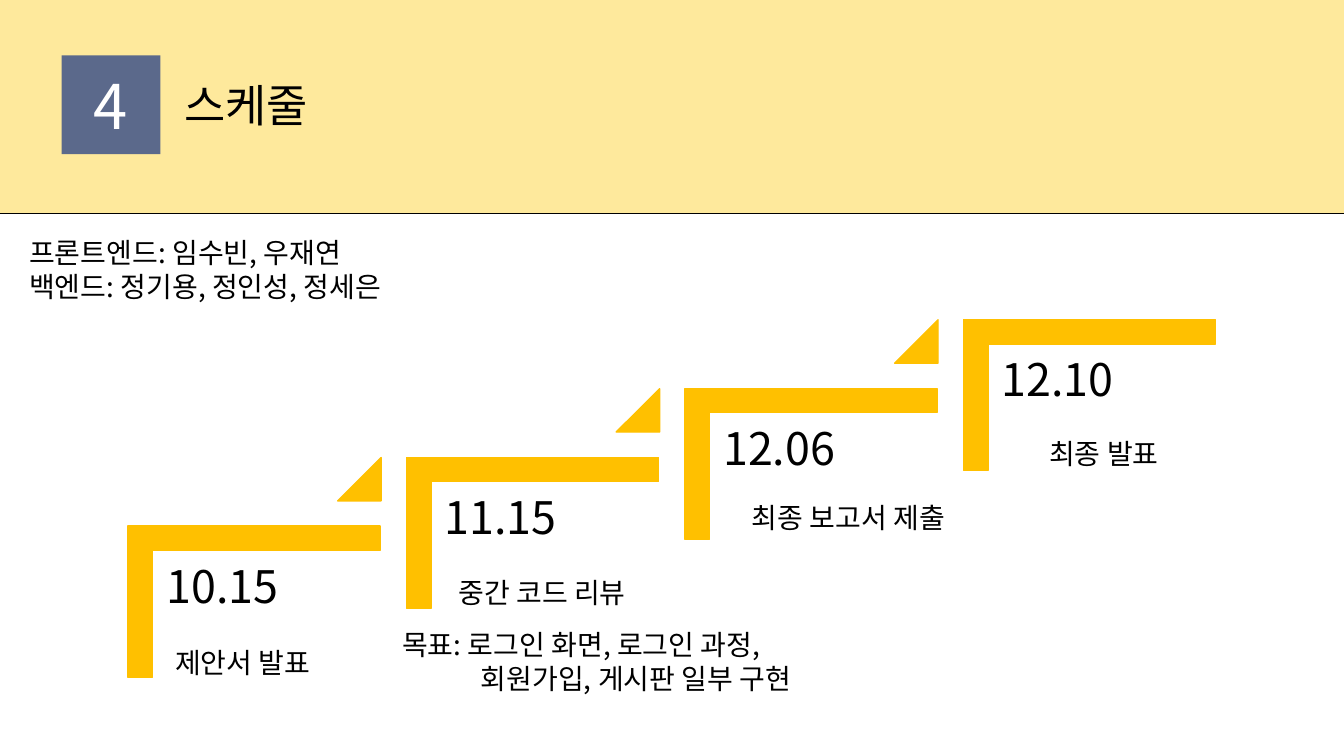
from dataclasses import dataclass

from lxml.etree import SubElement
from pptx import Presentation
from pptx.dml.color import RGBColor
from pptx.enum.shapes import MSO_CONNECTOR, MSO_SHAPE
from pptx.enum.text import MSO_ANCHOR, PP_ALIGN
from pptx.oxml.ns import qn
from pptx.util import Inches, Pt

WIDTH, HEIGHT = Inches(13.333), Inches(7.5)


@dataclass(frozen=True)
class Theme:
    font: str = "Noto Sans CJK KR"
    ink: str = "000000"
    paper: str = "FFFFFF"
    header: str = "FEE99C"
    badge: str = "5B698B"
    step: str = "FFC000"
    number_size: int = 44
    heading_size: int = 32
    body_size: int = 20
    line_width: int = 1


THEME = Theme()

# Date, caption and caption box of each step, from the lowest to the highest.
STEPS = [
    ("10.15", "제안서 발표", (12.3, 84.67, 14.78, 5.87)),
    ("11.15", "중간 코드 리뷰", (33.38, 75.47, 15.45, 5.87)),
    ("12.06", "최종 보고서 제출", (55.2, 65.6, 27.6, 5.87)),
    ("12.10", "최종 발표", (77.33, 57.07, 15.45, 5.87)),
]
STEP_RIGHT, STEP_UP = 20.72, 9.11


def place(left, top, width, height):
    """Turn percentages of the slide's width and height into lengths."""
    return (round(WIDTH * left / 100), round(HEIGHT * top / 100),
            round(WIDTH * width / 100), round(HEIGHT * height / 100))


def write(frame, *lines, size=THEME.body_size, color=THEME.ink, align=PP_ALIGN.LEFT,
          anchor=MSO_ANCHOR.TOP, spacing=None, inset=None, last_indent=0):
    """Fill a text frame, one paragraph a line; last_indent moves the last one in."""
    frame.word_wrap = True
    frame.vertical_anchor = anchor
    if inset is not None:
        frame.margin_left = frame.margin_right = Inches(inset)
        frame.margin_top = frame.margin_bottom = Inches(inset)
    for index, line in enumerate(lines):
        paragraph = frame.add_paragraph() if index else frame.paragraphs[0]
        paragraph.alignment = align
        paragraph.line_spacing = spacing
        run = paragraph.add_run()
        run.text = line
        run.font.size = Pt(size)
        run.font.name = THEME.font
        run.font.color.rgb = RGBColor.from_string(color)
        SubElement(run.font._element, qn("a:ea"), typeface=THEME.font)
    if last_indent:
        properties = paragraph._p.get_or_add_pPr()
        properties.set("marL", str(Inches(last_indent)))
        properties.set("indent", "0")


def add_text(slide, box, *lines, **formatting):
    write(slide.shapes.add_textbox(*place(*box)).text_frame, *lines, **formatting)


def add_block(slide, kind, box, fill, outlined=False, adjustments=(), rotation=0):
    shape = slide.shapes.add_shape(kind, *place(*box))
    shape.shadow.inherit = False
    shape.rotation = rotation
    for index, value in enumerate(adjustments):
        shape.adjustments[index] = value
    shape.fill.solid()
    shape.fill.fore_color.rgb = RGBColor.from_string(fill)
    if outlined:
        shape.line.color.rgb = RGBColor.from_string(fill)
        shape.line.width = Pt(THEME.line_width)
    else:
        shape.line.fill.background()
    return shape


def add_rule(slide, top):
    left, height, width, _ = place(0, top, 100, 0)
    rule = slide.shapes.add_connector(MSO_CONNECTOR.STRAIGHT, left, height, width, height)
    rule.line.color.rgb = RGBColor.from_string(THEME.ink)
    rule.line.width = Pt(THEME.line_width)
    SubElement(rule._element.spPr, qn("a:effectLst"))


def add_header(slide, number, title):
    add_block(slide, MSO_SHAPE.RECTANGLE, (0, 0, 100, 28.27), THEME.header)
    add_rule(slide, 28.27)
    add_text(slide, (12.98, 7.33, 43, 13.07), title,
             size=THEME.heading_size, anchor=MSO_ANCHOR.MIDDLE)
    badge = add_block(slide, MSO_SHAPE.RECTANGLE, (4.58, 7.33, 7.35, 13.07), THEME.badge)
    write(badge.text_frame, number, size=THEME.number_size, color=THEME.paper,
          align=PP_ALIGN.CENTER, anchor=MSO_ANCHOR.MIDDLE)


def add_step(slide, index, date, is_last):
    right, up = index * STEP_RIGHT, index * STEP_UP
    add_block(slide, MSO_SHAPE.CORNER, (13.28 + right, 62.93 - up, 11.25, 33.33),
              THEME.step, outlined=True, adjustments=(0.161, 0.161), rotation=90)
    add_text(slide, (11.4 + right, 72.93 - up, 16.95, 26.4), date,
             size=THEME.heading_size, spacing=0.9, inset=0.13)
    if not is_last:
        add_block(slide, MSO_SHAPE.ISOSCELES_TRIANGLE,
                  (25.13 + right, 60.53 - up, 3.23, 5.73),
                  THEME.step, outlined=True, adjustments=(1,))


def main():
    presentation = Presentation()
    presentation.slide_width, presentation.slide_height = WIDTH, HEIGHT
    slide = presentation.slides.add_slide(presentation.slide_layouts[6])

    add_header(slide, "4", "스케줄")
    add_text(slide, (1.43, 30.53, 31.95, 10.27),
             "프론트엔드: 임수빈, 우재연", "백엔드: 정기용, 정인성, 정세은")
    for index, (date, caption, caption_box) in enumerate(STEPS):
        add_step(slide, index, date, is_last=index == len(STEPS) - 1)
        add_text(slide, caption_box, caption)
    add_text(slide, (29.18, 82.4, 31.95, 10.27),
             "목표: 로그인 화면, 로그인 과정,", "회원가입, 게시판 일부 구현", last_indent=0.78)

    presentation.save("out.pptx")


if __name__ == "__main__":
    main()
